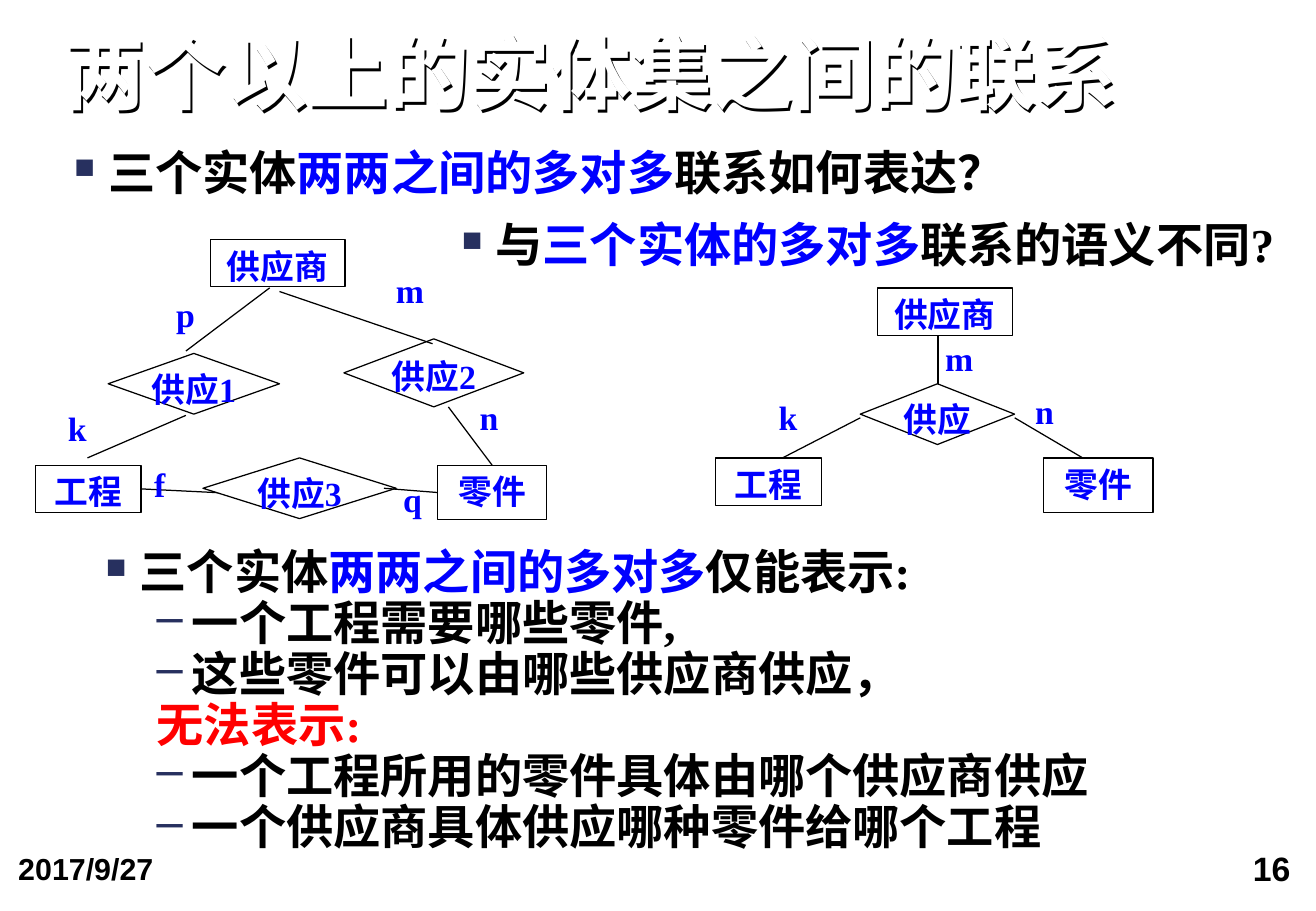
from dataclasses import dataclass
from typing import Optional, Union

import pptx
import pptx.dml.color
import pptx.enum.shapes
import pptx.enum.text
import pptx.oxml
import pptx.oxml.ns
import pptx.util
from pptx.util import Inches

RGBColor = pptx.dml.color.RGBColor
ALIGN = pptx.enum.text.PP_ALIGN
SHAPE = pptx.enum.shapes.MSO_SHAPE
ANCHOR = pptx.enum.text.MSO_ANCHOR
NS = pptx.oxml.ns.nsdecls("a")

BLACK = RGBColor(0, 0, 0)
WHITE = RGBColor(255, 255, 255)
BLUE = RGBColor(0, 0, 255)
RED = RGBColor(255, 0, 0)
NAVY = RGBColor(0x27, 0x30, 0x5F)
SERIF, SANS = "Times New Roman", "Arial"
TOP, LEFT, RIGHT = 0, 1, 3
Box = tuple[float, float, float, float]


@dataclass
class Label:
    text: str
    box: Box
    filled: bool = False


@dataclass
class Node:
    text: str
    box: Box
    shape: int = SHAPE.RECTANGLE


@dataclass
class Link:
    start: tuple[float, float]
    end: tuple[float, float]
    start_join: Optional[tuple[str, int]] = None
    end_join: Optional[tuple[str, int]] = None


@dataclass
class Line:
    runs: list[tuple[str, RGBColor]]
    bullet: str = ""
    level: int = 0


def relation(text: str, box: Box) -> Node:
    return Node(text, box, SHAPE.DIAMOND)


# Diagram parts, from back to front
TERNARY = [
    Label("k", (6.31, 3.22, 0.62, 0.39), True),
    Label("n", (8.42, 3.17, 0.47, 0.39), True),
    Label("m", (7.68, 2.73, 0.62, 0.39), True),
    Node("供应商", (7.22, 2.37, 1.11, 0.39)),
    Node("工程", (5.89, 3.77, 0.87, 0.39)),
    Node("零件", (8.59, 3.77, 0.9, 0.45)),
    Link((7.08, 3.44), (6.44, 3.77)),
    Link((8.35, 3.44), (8.91, 3.77)),
    Link((7.72, 2.76), (7.72, 3.21)),
    relation("供应", (7.08, 3.16, 1.27, 0.5)),
]
PAIRWISE = [
    Label("k", (0.46, 3.31, 0.62, 0.4)),
    Label("n", (3.85, 3.22, 0.47, 0.39)),
    Label("m", (3.16, 2.17, 0.62, 0.39)),
    Node("供应商", (1.73, 1.97, 1.11, 0.39)),
    Node("工程", (0.29, 3.83, 0.87, 0.39)),
    Node("零件", (3.6, 3.83, 0.9, 0.45)),
    Link((1.53, 3.42), (0.72, 3.77)),
    Link((3.69, 3.35), (4.05, 3.83), end_join=("零件", TOP)),
    Link((2.22, 2.37), (1.53, 2.89)),
    relation("供应2", (2.83, 2.79, 1.48, 0.56)),
    relation("供应1", (0.89, 2.91, 1.41, 0.5)),
    Link((2.3, 2.4), (3.56, 2.83)),
    Link((1.16, 4.02), (1.87, 4.06), start_join=("工程", RIGHT)),
    relation("供应3", (1.67, 3.77, 1.59, 0.5)),
    Link((3.16, 4.02), (3.6, 4.06), end_join=("零件", LEFT)),
    Label("p", (1.35, 2.37, 0.62, 0.4)),
    Label("f", (1.17, 3.77, 0.62, 0.65)),
    Label("q", (3.22, 3.89, 0.62, 0.39)),
]

# Bulleted statements
QUESTION = [Line([("三个实体", BLACK), ("两两之间的多对多", BLUE), ("联系如何表达？", BLACK)], "■")]
CONTRAST = [Line([("与", BLACK), ("三个实体的多对多", BLUE), ("联系的语义不同?", BLACK)], "■")]
LIMITS = [
    Line([("三个实体", BLACK), ("两两之间的多对多", BLUE), ("仅能表示:", BLACK)], "■"),
    Line([("一个工程需要哪些零件,", BLACK)], "–", 1),
    Line([("这些零件可以由哪些供应商供应，", BLACK)], "–", 1),
    Line([("无法表示:", RED)], "", 1),
    Line([("一个工程所用的零件具体由哪个供应商供应", BLACK)], "–", 1),
    Line([("一个供应商具体供应哪种零件给哪个工程", BLACK)], "–", 1),
]


def add_run(paragraph, text: str, size: float, color: RGBColor, font: str = SERIF) -> None:
    run = paragraph.add_run()
    run.text = text
    run.font.size = pptx.util.Pt(size)
    run.font.bold = True
    run.font.name = font
    run.font.color.rgb = color


def set_frame(frame, side: float = 0.1, end: float = 0.05, anchor=ANCHOR.TOP) -> None:
    frame.word_wrap = True
    frame.vertical_anchor = anchor
    frame.margin_left = frame.margin_right = Inches(side)
    frame.margin_top = frame.margin_bottom = Inches(end)


def add_text(shapes, box: Box, side: float = 0.1, end: float = 0.05):
    frame = shapes.add_textbox(*map(Inches, box)).text_frame
    set_frame(frame, side, end)
    return frame


def draw_lines(shapes, box: Box, lines: list[Line], side: float = 0, end: float = 0) -> None:
    frame = add_text(shapes, box, side, end)
    for index, line in enumerate(lines):
        paragraph = frame.add_paragraph() if index else frame.paragraphs[0]
        paragraph.level = line.level
        paragraph.line_spacing = 0.9
        hanging = (0.29 if line.level else 0.28) if line.bullet else 0
        props = paragraph._p.get_or_add_pPr()
        props.set("marL", str(Inches((0.42 if line.level else 0) + hanging)))
        props.set("indent", str(-Inches(hanging)))
        if line.bullet:
            size = 100 if line.level else 60
            for xml in (f'<a:buClr {NS}><a:srgbClr val="{NAVY}"/></a:buClr>',
                        f'<a:buSzPct {NS} val="{size * 1000}"/>',
                        f'<a:buChar {NS} char="{line.bullet}"/>'):
                props.append(pptx.oxml.parse_xml(xml))
        for text, color in line.runs:
            add_run(paragraph, text, 28, color)


def draw_diagram(slide, parts: list[Union[Label, Node, Link]]) -> None:
    shapes = slide.shapes.add_group_shape().shapes
    nodes = {}
    for part in parts:
        if isinstance(part, Link):
            link = shapes.add_connector(pptx.enum.shapes.MSO_CONNECTOR.STRAIGHT,
                                        *map(Inches, part.start + part.end))
            link.line.color.rgb = BLACK
            link.line.width = pptx.util.Pt(0.75)
            link._element.spPr.append(pptx.oxml.parse_xml(f"<a:effectLst {NS}/>"))
            if part.start_join:
                link.begin_connect(nodes[part.start_join[0]], part.start_join[1])
            if part.end_join:
                link.end_connect(nodes[part.end_join[0]], part.end_join[1])
            continue
        is_label = isinstance(part, Label)
        if is_label and not part.filled:
            frame = add_text(shapes, part.box)
        else:
            kind = SHAPE.RECTANGLE if is_label else part.shape
            node = shapes.add_shape(kind, *map(Inches, part.box))
            node.shadow.inherit = False
            node.fill.solid()
            node.fill.fore_color.rgb = WHITE
            node.line.color.rgb = WHITE if is_label else BLACK
            node.line.width = pptx.util.Pt(0.75)
            frame = node.text_frame
            set_frame(frame, *((0, 0) if kind == SHAPE.DIAMOND else (0.1, 0.05)))
            nodes[part.text] = node
        paragraph = frame.paragraphs[0]
        paragraph.alignment = ALIGN.JUSTIFY if is_label else ALIGN.CENTER
        add_run(paragraph, part.text, 20, BLUE)


def draw_title(slide) -> None:
    title = slide.shapes.title
    title.left, title.top, title.width, title.height = map(Inches, (0.53, 0.28, 10.12, 0.72))
    set_frame(title.text_frame, 0, 0, ANCHOR.BOTTOM)
    title.text_frame.auto_size = pptx.enum.text.MSO_AUTO_SIZE.SHAPE_TO_FIT_TEXT
    paragraph = title.text_frame.paragraphs[0]
    paragraph.alignment = ALIGN.LEFT
    paragraph.line_spacing = 0.9
    add_run(paragraph, "两个以上的实体集之间的联系", 48, WHITE, SANS)
    # An unfilled shape casts the shadow of its letters
    title.fill.background()
    title.shadow.inherit = False
    effects = title._element.spPr.find(pptx.oxml.ns.qn("a:effectLst"))
    effects.append(pptx.oxml.parse_xml(
        f'<a:outerShdw {NS} dist="{Inches(0.03)}" dir="2700000" algn="ctr" rotWithShape="0">'
        f'<a:srgbClr val="{BLACK}"/></a:outerShdw>'))


def main() -> None:
    deck = pptx.Presentation()
    deck.slide_width, deck.slide_height = Inches(10.83), Inches(7.5)
    slide = deck.slides.add_slide(deck.slide_layouts[5])

    # Page number and date
    number = add_text(slide.shapes, (8.01, 6.92, 2.74, 0.58), 0.13, 0.06).paragraphs[0]
    number.alignment = ALIGN.RIGHT
    add_run(number, "16", 20, BLACK, SANS)
    date = add_text(slide.shapes, (0.02, 6.94, 2.51, 0.63), 0.13, 0.06).paragraphs[0]
    add_run(date, "2017/9/27", 18, BLACK, SANS)

    # Title, diagrams and statements
    draw_title(slide)
    draw_lines(slide.shapes, (0.61, 1.23, 9.84, 5.09), QUESTION)
    draw_diagram(slide, TERNARY)
    draw_diagram(slide, PAIRWISE)
    draw_lines(slide.shapes, (0.87, 4.52, 8.82, 2.54), LIMITS)
    draw_lines(slide.shapes, (3.7, 1.78, 7.51, 0.53), CONTRAST, 0.1, 0.05)
    deck.save("out.pptx")


if __name__ == "__main__":
    main()
